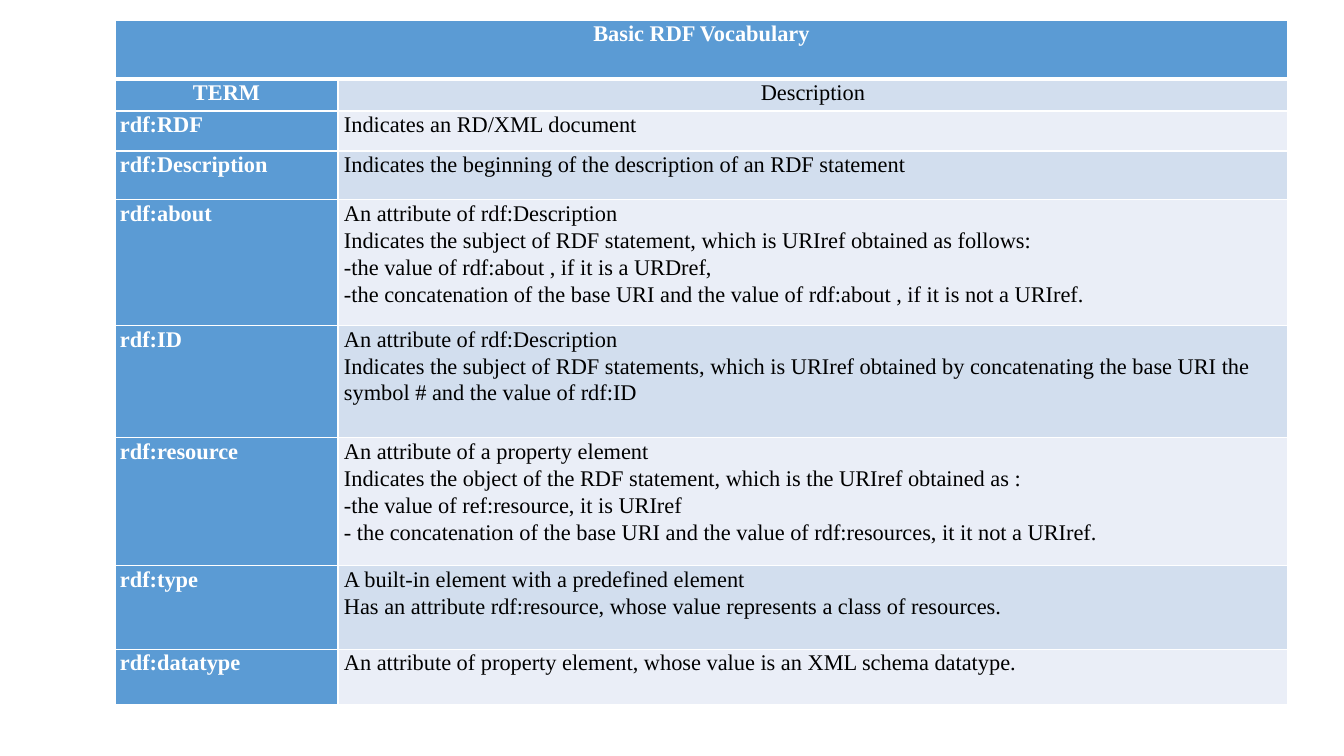
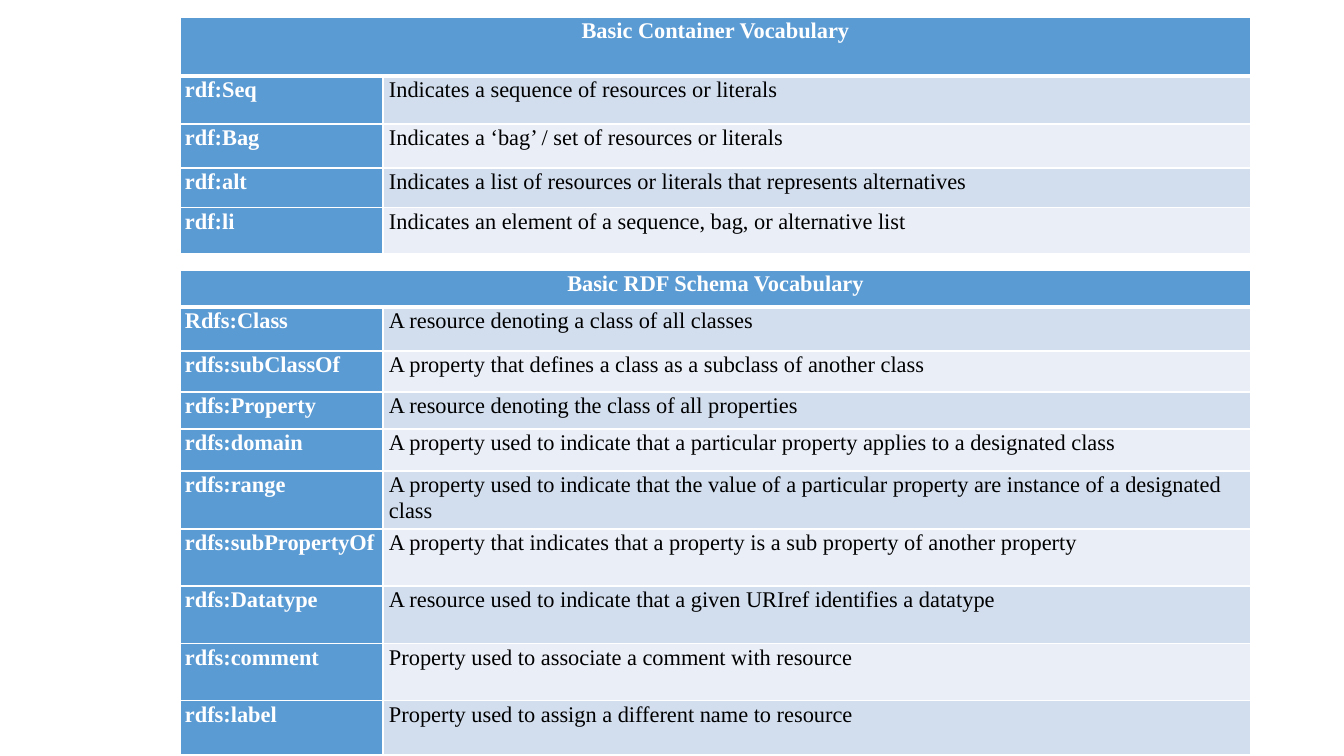
from lxml import etree
from pptx import Presentation
from pptx.dml.color import RGBColor
from pptx.enum.text import PP_ALIGN as Align
from pptx.oxml.ns import qn
from pptx.util import Pt

# Content: each row is (height, term, description paragraphs)
RDF_ROWS = [
    (32, "TERM", ["Description"]),
    (40, "rdf:RDF", ["Indicates an RD/XML document"]),
    (49, "rdf:Description", ["Indicates the beginning of the description of an RDF statement"]),
    (126, "rdf:about", [
        "An attribute of rdf:Description",
        "Indicates the subject of RDF statement, which is URIref obtained as follows:",
        "-the value of rdf:about , if it is a URDref,",
        "-the concatenation of the base URI and the value of rdf:about , if it is not a URIref.",
    ]),
    (112, "rdf:ID", [
        "An attribute of rdf:Description",
        "Indicates the subject of RDF statements, which is URIref obtained by concatenating "
        "the base URI the symbol # and the value of rdf:ID",
    ]),
    (128, "rdf:resource", [
        "An attribute of a property element",
        "Indicates the object of the RDF statement, which is the URIref obtained as :",
        "-the value of ref:resource, it is URIref",
        "- the concatenation of the base URI and the value of rdf:resources, it it not a URIref.",
    ]),
    (84, "rdf:type", [
        "A built-in element with a predefined element",
        "Has an attribute rdf:resource, whose value represents a class of resources.",
    ]),
    (55, "rdf:datatype",
     ["An attribute of property element, whose value is an XML schema datatype."]),
]
CONTAINER_ROWS = [
    (48, "rdf:Seq", ["Indicates a sequence of resources or literals"]),
    (44, "rdf:Bag", ["Indicates a ‘bag’ / set of resources or literals"]),
    (40, "rdf:alt", ["Indicates a list of resources or literals that represents alternatives"]),
    (46, "rdf:li", ["Indicates an element of a sequence, bag, or alternative list"]),
]
SCHEMA_ROWS = [
    (44, "Rdfs:Class", ["A resource denoting a class of all classes"]),
    (41, "rdfs:subClassOf", ["A property that defines a class as a subclass of another class"]),
    (37, "rdfs:Property", ["A resource denoting the class of all properties"]),
    (42, "rdfs:domain",
     ["A property used to indicate that a particular property applies to a designated class"]),
    (58, "rdfs:range",
     ["A property used to indicate that the value of a particular property are instance of a "
      "designated class"]),
    (57, "rdfs:subPropertyOf",
     ["A property that indicates that a property is a sub property of another property"]),
    (58, "rdfs:Datatype",
     ["A resource used to indicate that a given URIref identifies a datatype"]),
    (57, "rdfs:comment", ["Property used to associate a comment with resource"]),
    (54, "rdfs:label", ["Property used to assign a different name to resource"]),
]

# Each slide lists its tables: title, title height, left, top, column widths, rows
SLIDES = [
    [("Basic RDF Vocabulary", 59, 115, 20, (223, 950), RDF_ROWS)],
    [("Basic Container Vocabulary", 59, 180, 17, (203, 868), CONTAINER_ROWS),
     ("Basic RDF Schema Vocabulary", 37, 180, 270, (203, 868), SCHEMA_ROWS)],
]

# Shared style
SLIDE_WIDTH, SLIDE_HEIGHT = 1344, 756
EMU_PER_PIXEL = 12192000 / SLIDE_WIDTH
FONT = "Times New Roman"
WHITE = RGBColor(0xFF, 0xFF, 0xFF)
BLACK = RGBColor(0x00, 0x00, 0x00)
BLUE = RGBColor(0x5B, 0x9B, 0xD4)
BANDS = [RGBColor(0xD2, 0xDE, 0xEE), RGBColor(0xEA, 0xEE, 0xF7)]
THIN, THICK = Pt(1), Pt(3)
TERM_INDENT, DESCRIPTION_INDENT = 5, 6


def px(pixels):
    return round(pixels * EMU_PER_PIXEL)


def set_borders(cell, top, bottom):
    properties = cell._tc.get_or_add_tcPr()
    widths = [("a:lnL", THIN), ("a:lnR", THIN), ("a:lnT", top), ("a:lnB", bottom)]
    for position, (tag, width) in enumerate(widths):
        line = etree.Element(qn(tag), w=str(width))
        fill = etree.SubElement(line, qn("a:solidFill"))
        etree.SubElement(fill, qn("a:srgbClr"), val=str(WHITE))
        properties.insert(position, line)


def fill_cell(cell, lines, fill, heading, indent=0, top=THIN, bottom=THIN):
    cell.fill.solid()
    cell.fill.fore_color.rgb = fill
    cell.margin_left = px(indent)
    cell.margin_right = cell.margin_top = cell.margin_bottom = 0
    cell.text = "\n".join(lines)
    for number, paragraph in enumerate(cell.text_frame.paragraphs):
        paragraph.alignment = Align.LEFT if indent else Align.CENTER
        paragraph.line_spacing = Pt(18.6)
        paragraph.space_before = Pt(0.8 if number else 0)
        font = paragraph.font
        font.name, font.size, font.bold = FONT, Pt(16), heading
        font.color.rgb = WHITE if heading else BLACK
    set_borders(cell, top, bottom)


def add_vocabulary(slide, title, title_height, left, top, widths, rows):
    heights = [title_height] + [height for height, _, _ in rows]
    table = slide.shapes.add_table(
        len(heights), len(widths), px(left), px(top), px(sum(widths)), px(sum(heights))).table
    table.first_row = table.horz_banding = False
    for column, width in zip(table.columns, widths):
        column.width = px(width)
    for row, height in zip(table.rows, heights):
        row.height = px(height)

    # Title across both columns
    table.cell(0, 0).merge(table.cell(0, 1))
    fill_cell(table.cell(0, 0), [title], BLUE, True, bottom=THICK)
    set_borders(table.cell(0, 1), THIN, THICK)

    # Terms and banded descriptions
    for index, (_, term, description) in enumerate(rows):
        centred = term == "TERM"
        upper = THIN if index else THICK
        fill_cell(table.cell(index + 1, 0), [term], BLUE, True,
                  0 if centred else TERM_INDENT, upper)
        fill_cell(table.cell(index + 1, 1), description, BANDS[index % 2], False,
                  0 if centred else DESCRIPTION_INDENT, upper)


presentation = Presentation()
presentation.slide_width = px(SLIDE_WIDTH)
presentation.slide_height = px(SLIDE_HEIGHT)
blank_layout = presentation.slide_layouts[6]
for vocabularies in SLIDES:
    slide = presentation.slides.add_slide(blank_layout)
    for vocabulary in vocabularies:
        add_vocabulary(slide, *vocabulary)
presentation.save("out.pptx")
